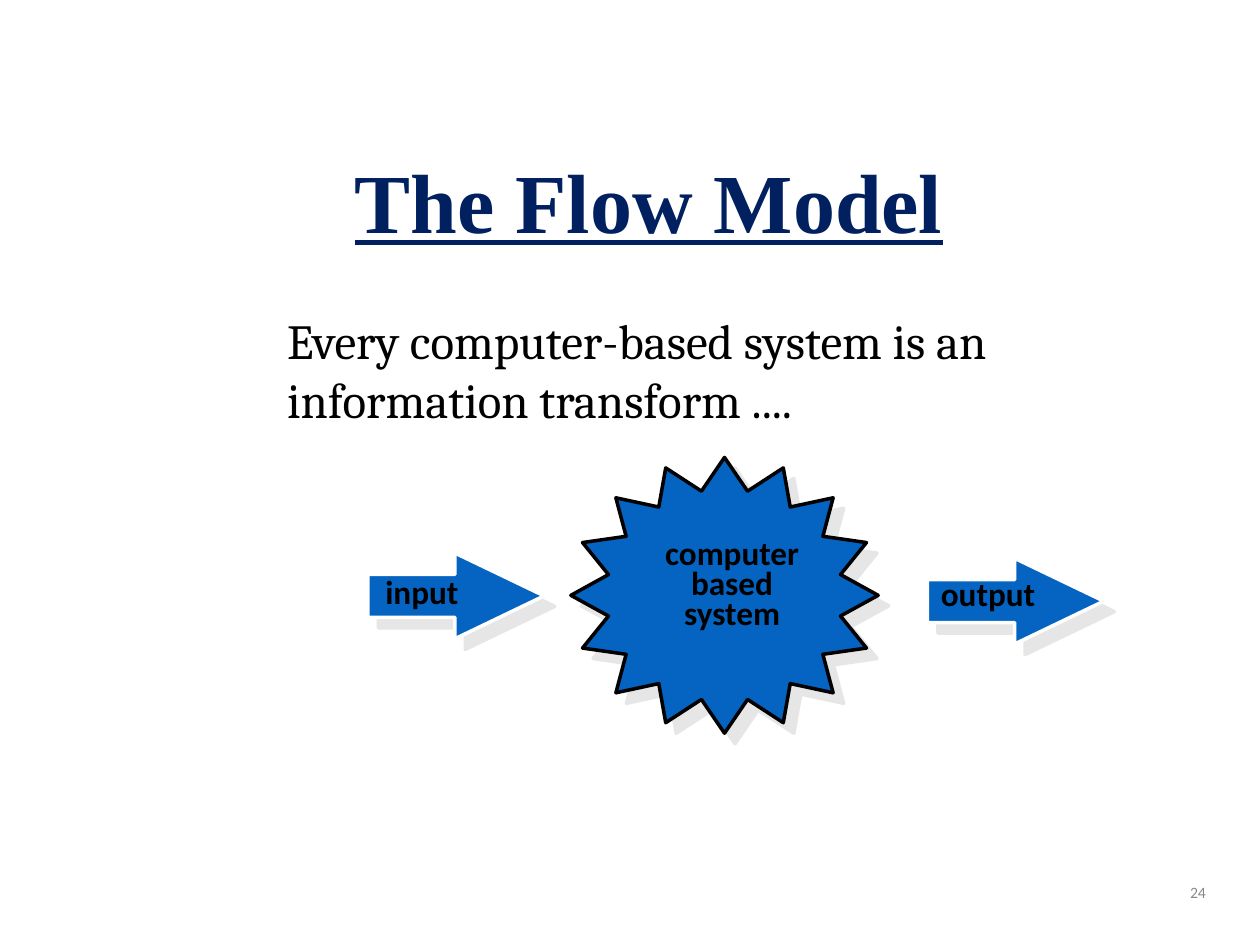
from dataclasses import dataclass
from math import cos, pi, sin

from lxml.etree import SubElement
from pptx import Presentation
from pptx.dml.color import RGBColor
from pptx.enum.shapes import MSO_SHAPE as Shape
from pptx.enum.text import MSO_ANCHOR as Anchor, MSO_AUTO_SIZE as AutoSize, PP_ALIGN as Align
from pptx.oxml.ns import qn
from pptx.util import Pt


@dataclass(frozen=True)
class Style:
    font: str
    size: float
    color: str
    bold: bool = False
    underline: bool = False


@dataclass(frozen=True)
class Theme:
    fill: str = "0563C1"
    shadow: str = "E7E6E6"
    burst_line: str = "000000"
    arrow_line: str = "FFFFFF"
    title: Style = Style("Times New Roman", 48, "002060", True, True)
    statement: Style = Style("Cambria", 28, "000000")
    label: Style = Style("Calibri", 19, "000000", True)
    number: Style = Style("Calibri", 9, "898989")


THEME = Theme()


def write(frame, lines, style, align=Align.LEFT, spacing=None):
    frame.text = "\n".join(lines)
    for paragraph in frame.paragraphs:
        paragraph.alignment = align
        paragraph.line_spacing = spacing
        font = paragraph.font
        font.name, font.size = style.font, Pt(style.size)
        font.bold, font.underline = style.bold, style.underline
        font.color.rgb = RGBColor.from_string(style.color)


def add_title(slide, text, box):
    title = slide.shapes.title
    title.left, title.top, title.width, title.height = map(Pt, box)
    title.text_frame.vertical_anchor = Anchor.MIDDLE
    write(title.text_frame, [text], THEME.title, Align.CENTER, 0.9)


def add_text(slide, lines, box, style, align=Align.LEFT, spacing=None):
    frame = slide.shapes.add_textbox(*map(Pt, box)).text_frame
    frame.word_wrap = False
    frame.auto_size = AutoSize.SHAPE_TO_FIT_TEXT
    write(frame, lines, style, align, spacing)


def add_slide_number(slide, number, box):
    frame = slide.shapes.add_textbox(*map(Pt, box)).text_frame
    frame.word_wrap = True
    frame.vertical_anchor = Anchor.MIDDLE
    write(frame, [number], THEME.number, Align.RIGHT)


def paint(shape, line_color):
    """Give a shape the common fill, a 2 pt line and a hard diagonal shadow."""
    shape.fill.solid()
    shape.fill.fore_color.rgb = RGBColor.from_string(THEME.fill)
    shape.line.color.rgb = RGBColor.from_string(line_color)
    shape.line.width = Pt(2)
    shape.shadow.inherit = False
    effects = shape.element.spPr.find(qn("a:effectLst"))
    shadow = SubElement(effects, qn("a:outerShdw"), dist=str(Pt(8.5)),
                        dir=str(45 * 60000), algn="ctr", rotWithShape="0")
    SubElement(shadow, qn("a:srgbClr"), val=THEME.shadow)


def add_burst(slide, center, radii, tips=16, inner=0.77):
    """Draw a star whose valleys lie at the inner share of the radii."""
    points = []
    for step in range(2 * tips):
        angle = pi + step * pi / tips
        reach = inner if step % 2 else 1
        points.append(tuple(Pt(middle + radius * reach * turn) for middle, radius, turn
                            in zip(center, radii, (cos(angle), sin(angle)))))
    builder = slide.shapes.build_freeform(*points[0])
    builder.add_line_segments(points[1:], close=True)
    paint(builder.convert_to_shape(), THEME.burst_line)


def add_arrow(slide, left, top):
    arrow = slide.shapes.add_shape(Shape.RIGHT_ARROW, *map(Pt, (left, top, 100.8, 49)))
    arrow.adjustments[0], arrow.adjustments[1] = 0.5, 1.04
    paint(arrow, THEME.arrow_line)


def main():
    deck = Presentation()
    deck.slide_width, deck.slide_height = Pt(720), Pt(540)
    slide = deck.slides.add_slide(deck.slide_layouts[5])

    add_title(slide, "The Flow Model", (89.3, 87.8, 563, 59.8))
    add_slide_number(slide, "24", (594, 491.8, 102.2, 36))
    add_text(slide, ["Every computer-based system is an", "information transform ...."],
             (157, 174.2, 459.4, 74.2), THEME.statement)

    add_burst(slide, center=(414, 340.2), radii=(87.8, 78.8))
    add_arrow(slide, 210.2, 316)
    add_arrow(slide, 530, 319)

    add_text(slide, ["computer", "based", "system"], (373, 306, 90.7, 58.3),
             THEME.label, Align.CENTER, 0.75)
    add_text(slide, ["input"], (213.1, 322.6, 56.2, 29.5), THEME.label)
    add_text(slide, ["output"], (530.6, 324, 68.4, 29.5), THEME.label)

    deck.save("out.pptx")


if __name__ == "__main__":
    main()
